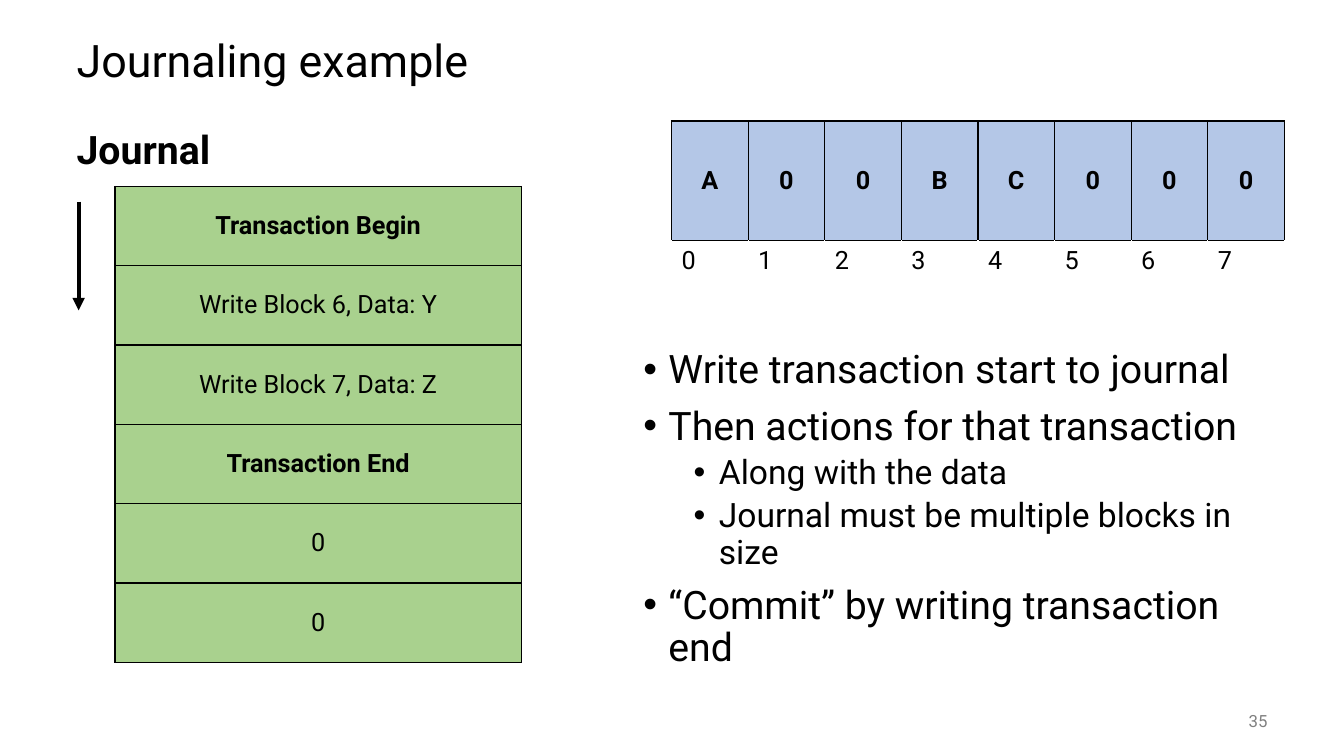
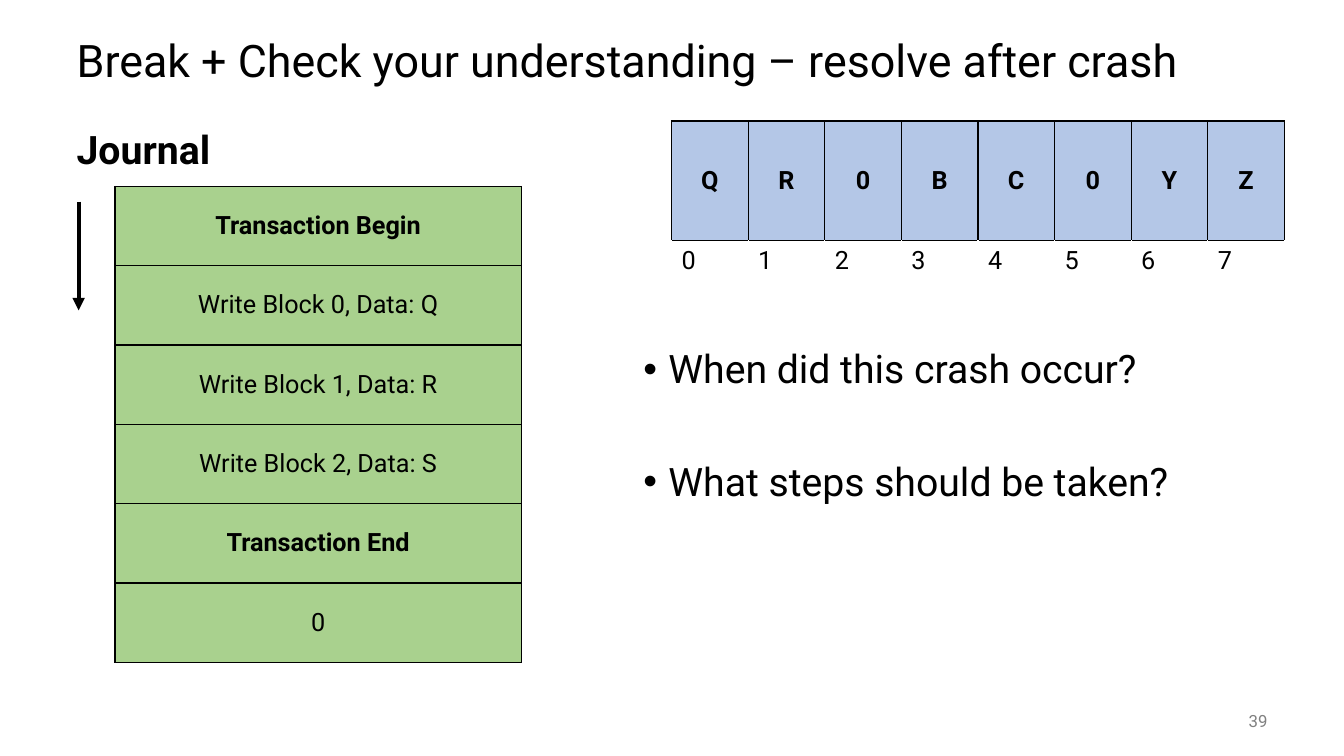
"""Build two slides that show a file system journal beside its disk blocks."""
from lxml.etree import SubElement
from pptx import Presentation
from pptx.dml.color import RGBColor
from pptx.enum.shapes import MSO_CONNECTOR
from pptx.enum.text import MSO_ANCHOR, MSO_AUTO_SIZE, PP_ALIGN
from pptx.oxml.ns import qn
from pptx.util import Inches, Pt

SLIDES = [
    {
        "title": "Journaling example",
        "number": "35",
        "blocks": "A00BC000",
        "journal": ["Transaction Begin", "Write Block 6, Data: Y",
                    "Write Block 7, Data: Z", "Transaction End", "0", "0"],
        "points": [(0, "Write transaction start to journal"),
                   (0, "Then actions for that transaction"),
                   (1, "Along with the data"),
                   (1, "Journal must be multiple blocks in size"),
                   (0, "“Commit” by writing transaction end")],
        "point_gap": 10,
    },
    {
        "title": "Break + Check your understanding – resolve after crash",
        "number": "39",
        "blocks": "QR0BC0YZ",
        "journal": ["Transaction Begin", "Write Block 0, Data: Q",
                    "Write Block 1, Data: R", "Write Block 2, Data: S",
                    "Transaction End", "0"],
        "points": [(0, "When did this crash occur?"),
                   (0, "What steps should be taken?")],
        "point_gap": 50,
    },
]

FONT = "Roboto"
BLACK, WHITE, GREY = "000000", "FFFFFF", "808080"
BLOCK_FILL, JOURNAL_FILL = "B4C7E7", "A9D18E"
TITLE_SIZE, POINT_SIZE, SUBPOINT_SIZE, CELL_SIZE, NUMBER_SIZE = 32, 28, 24, 18, 12
TITLE_AREA = (0.66, 0.25, 12, 0.75)
HEADING_AREA = (0.66, 1.25, 5.75, 5.5)
POINTS_AREA = (6.28, 3.42, 6.39, 3.33)
NUMBER_AREA = (11.67, 6.95, 1, 0.4)
BLOCKS_AREA = (6.66, 1.2, 6.08, 1.73)
JOURNAL_AREA = (1.14, 1.85, 4.03, 4.72)
BLOCK_ROW_HEIGHTS = (1.19, 0.53)
ARROW_X, ARROW_TOP, ARROW_BOTTOM = 0.78, 2, 3.08


def color(hex_code):
    """Return the colour for a hex string."""
    return RGBColor.from_string(hex_code)


def inches(lengths):
    """Convert a sequence of inches to slide units."""
    return [Inches(length) for length in lengths]


def write(paragraph, text, size, bold=False, ink=BLACK, align=PP_ALIGN.LEFT):
    """Add one formatted run to a paragraph."""
    paragraph.alignment = align
    run = paragraph.add_run()
    run.text = text
    run.font.name, run.font.size, run.font.bold = FONT, Pt(size), bold
    run.font.color.rgb = color(ink)


def set_bullet(paragraph, indent=None):
    """Give a paragraph a hanging bullet at an indent, or no bullet."""
    properties = paragraph._p.get_or_add_pPr()
    hanging = 0 if indent is None else 0.25
    properties.set("marL", str(Inches(indent or 0)))
    properties.set("indent", str(-Inches(hanging)))
    if indent is None:
        SubElement(properties, qn("a:buNone"))
    else:
        SubElement(properties, qn("a:buFont"), typeface="Arial")
        SubElement(properties, qn("a:buChar"), char="•")


def prepare_layout(layout):
    """Place the title and both bodies once for all slides."""
    areas = {0: TITLE_AREA, 1: HEADING_AREA, 2: POINTS_AREA}
    for placeholder in layout.placeholders:
        index = placeholder.placeholder_format.idx
        if index in areas:
            (placeholder.left, placeholder.top,
             placeholder.width, placeholder.height) = inches(areas[index])
            frame = placeholder.text_frame
            frame.auto_size = MSO_AUTO_SIZE.NONE
            frame.vertical_anchor = MSO_ANCHOR.TOP if index else MSO_ANCHOR.MIDDLE


def add_grid(slide, area, row_heights, column_count):
    """Add an unstyled table with equal columns."""
    table = slide.shapes.add_table(len(row_heights), column_count, *inches(area)).table
    table.first_row = table.horz_banding = False
    for column in table.columns:
        column.width = Inches(area[2] / column_count)
    for row, height in zip(table.rows, row_heights):
        row.height = Inches(height)
    return table


def fill_cell(cell, text, fill=None, bold=False):
    """Write a filled, boxed cell, or a bare label under a black edge."""
    properties = cell._tc.get_or_add_tcPr()
    for side in "LRTB":
        edge = SubElement(properties, qn(f"a:ln{side}"), w=str(Pt(1)))
        ink = BLACK if fill or side == "T" else WHITE
        SubElement(SubElement(edge, qn("a:solidFill")), qn("a:srgbClr"), val=ink)
    if fill:
        cell.fill.solid()
        cell.fill.fore_color.rgb = color(fill)
        cell.vertical_anchor = MSO_ANCHOR.MIDDLE
    else:
        cell.fill.background()
    write(cell.text_frame.paragraphs[0], text, CELL_SIZE, bold,
          align=PP_ALIGN.CENTER if fill else PP_ALIGN.LEFT)


def add_blocks(slide, blocks):
    """Add the disk blocks with their numbers below."""
    table = add_grid(slide, BLOCKS_AREA, BLOCK_ROW_HEIGHTS, len(blocks))
    for index, block in enumerate(blocks):
        fill_cell(table.cell(0, index), block, BLOCK_FILL, bold=True)
        fill_cell(table.cell(1, index), str(index))


def add_journal(slide, entries):
    """Add the journal entries from top to bottom."""
    heights = [JOURNAL_AREA[3] / len(entries)] * len(entries)
    table = add_grid(slide, JOURNAL_AREA, heights, 1)
    for index, entry in enumerate(entries):
        fill_cell(table.cell(index, 0), entry, JOURNAL_FILL,
                  bold=entry.startswith("Transaction"))


def add_arrow(slide):
    """Add the arrow that shows the order of the journal."""
    arrow = slide.shapes.add_connector(
        MSO_CONNECTOR.STRAIGHT, *inches((ARROW_X, ARROW_TOP, ARROW_X, ARROW_BOTTOM)))
    arrow.line.width = Pt(3)
    arrow.line.color.rgb = color(BLACK)
    SubElement(arrow.line._get_or_add_ln(), qn("a:tailEnd"), type="triangle")
    SubElement(arrow._element.spPr, qn("a:effectLst"))


def add_points(frame, points, gap):
    """Write the bulleted points in two levels."""
    for index, (level, text) in enumerate(points):
        point = frame.add_paragraph() if index else frame.paragraphs[0]
        set_bullet(point, 0.25 + 0.5 * level)
        point.level = level
        point.line_spacing = 0.9
        point.space_before = Pt((5 if level else gap) if index else 0)
        write(point, text, SUBPOINT_SIZE if level else POINT_SIZE)


def add_number(slide, number):
    """Add the slide number in the lower right corner."""
    frame = slide.shapes.add_textbox(*inches(NUMBER_AREA)).text_frame
    frame.word_wrap = True
    frame.vertical_anchor = MSO_ANCHOR.MIDDLE
    write(frame.paragraphs[0], number, NUMBER_SIZE, ink=GREY, align=PP_ALIGN.RIGHT)


def add_slide(deck, layout, content):
    """Add one slide from its content."""
    slide = deck.slides.add_slide(layout)
    title, heading, points = [item.text_frame for item in slide.placeholders]
    title.paragraphs[0].line_spacing = 0.9
    write(title.paragraphs[0], content["title"], TITLE_SIZE)
    journal_heading = heading.paragraphs[0]
    set_bullet(journal_heading)
    journal_heading.line_spacing = 0.9
    journal_heading.space_before = Pt(0)
    write(journal_heading, "Journal", POINT_SIZE, bold=True)
    add_number(slide, content["number"])
    add_points(points, content["points"], content["point_gap"])
    add_blocks(slide, content["blocks"])
    add_journal(slide, content["journal"])
    add_arrow(slide)


def main():
    """Build and save the deck."""
    deck = Presentation()
    deck.slide_width, deck.slide_height = inches((13.33, 7.5))
    layout = deck.slide_layouts.get_by_name("Two Content")
    prepare_layout(layout)
    for content in SLIDES:
        add_slide(deck, layout, content)
    deck.save("out.pptx")


if __name__ == "__main__":
    main()
